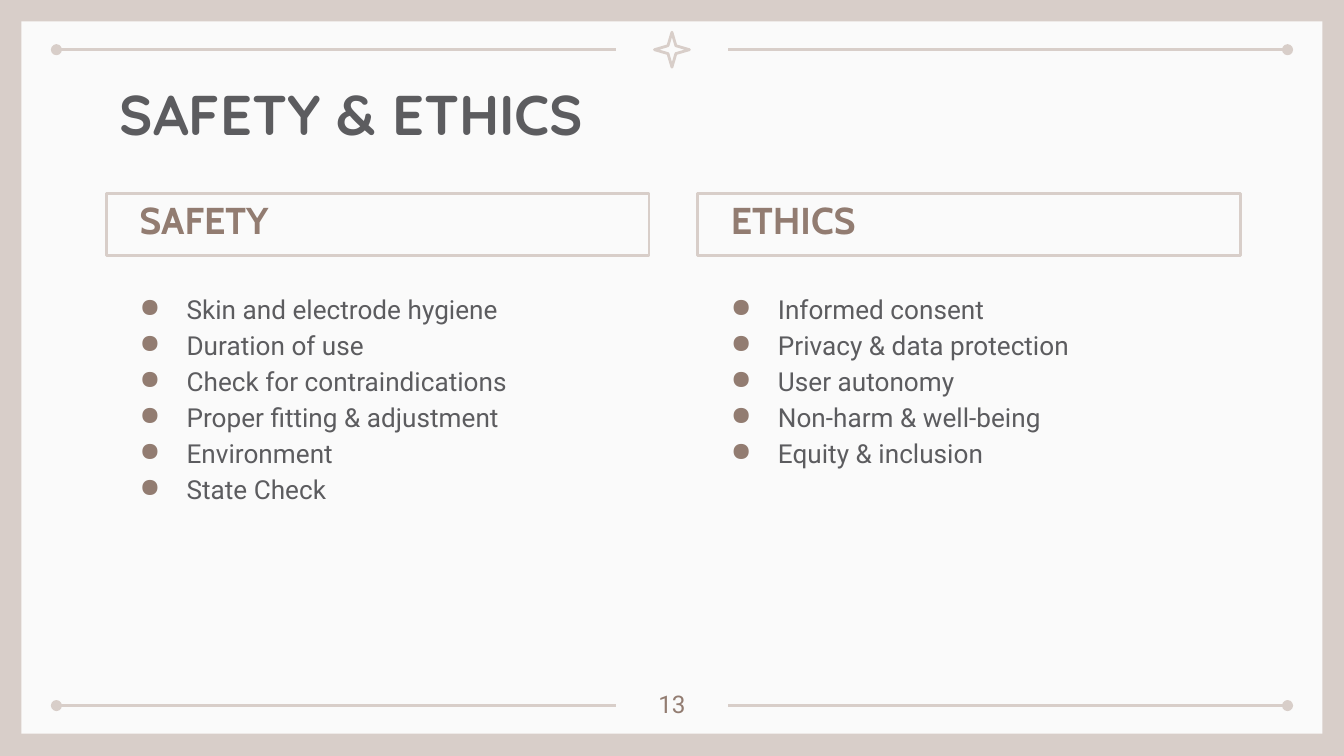
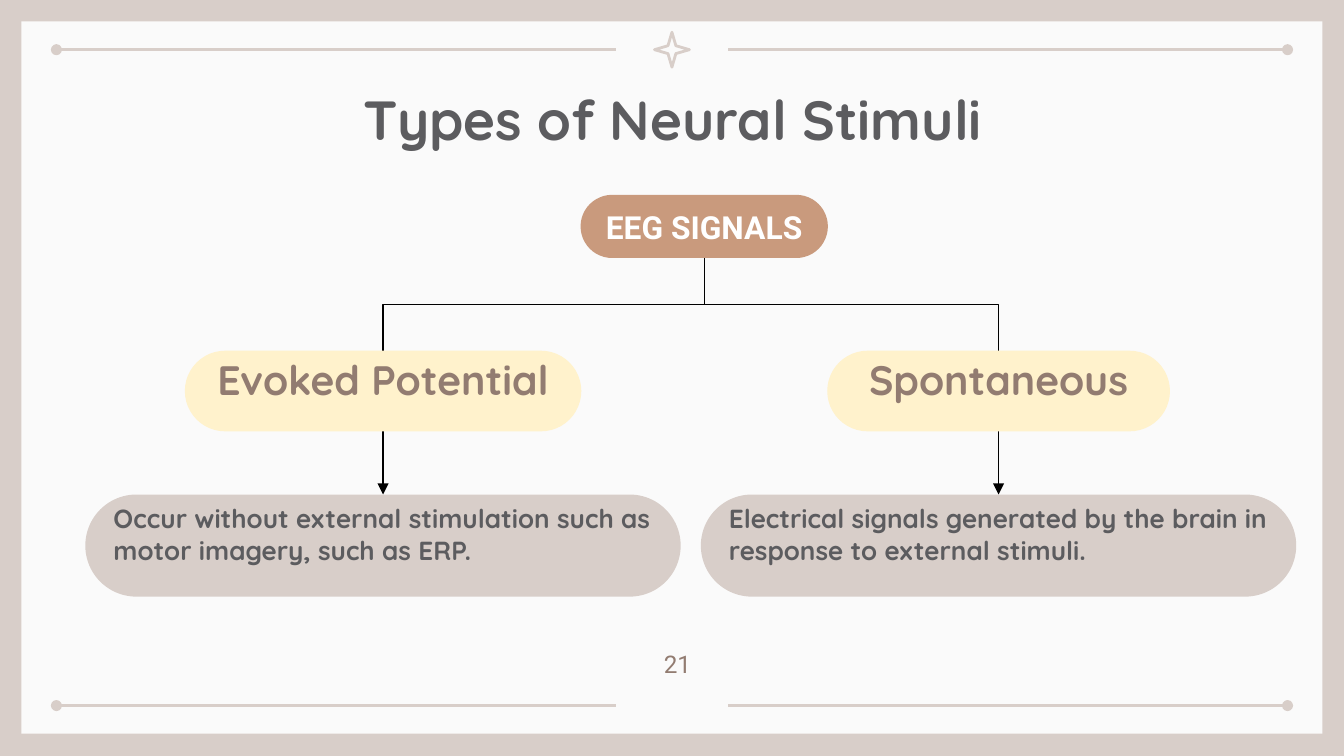
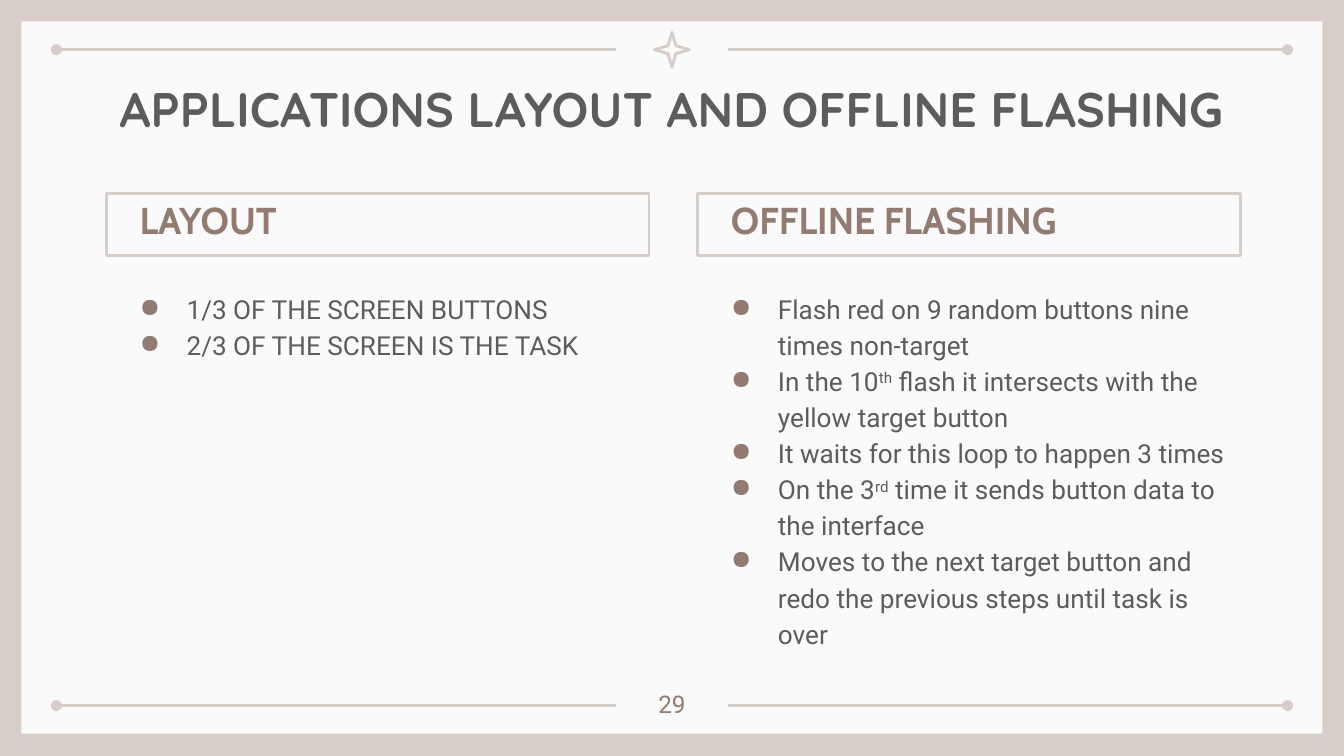
from dataclasses import dataclass
from lxml.etree import SubElement
from pptx import Presentation
from pptx.dml.color import RGBColor
from pptx.enum.shapes import MSO_CONNECTOR, MSO_SHAPE
from pptx.enum.text import MSO_ANCHOR, MSO_AUTO_SIZE, PP_ALIGN
from pptx.oxml.ns import qn
from pptx.util import Inches, Pt


@dataclass(frozen=True)
class Theme:
    sand = RGBColor.from_string("D8CEC9")
    paper = RGBColor.from_string("FAFAFA")
    ink = RGBColor.from_string("5C5C5F")
    brown = RGBColor.from_string("927C71")
    clay = RGBColor.from_string("C99A7D")
    cream = RGBColor.from_string("FFF2CC")
    white = RGBColor.from_string("FFFFFF")
    black = RGBColor.from_string("000000")
    title = ({"name": "Quicksand", "size": Pt(30), "bold": True}, ink)
    head = ({"name": "Cabin", "size": Pt(20), "bold": True}, brown)
    body = ({"name": "Roboto", "size": Pt(14), "bold": False}, ink)
    number = ({"name": "Roboto", "size": Pt(13), "bold": False}, brown)
    root = ({"name": "Roboto", "size": Pt(17), "bold": True}, white)
    kind = ({"name": "Quicksand", "size": Pt(22), "bold": True}, brown)
    note = ({"name": "Quicksand", "size": Pt(14), "bold": True}, ink)


theme = Theme()


def write(shape, lines, style, align=PP_ALIGN.LEFT, anchor=MSO_ANCHOR.TOP,
          space=1.0, hang=False, bullet=False, top=0.1, foot=0.1):
    frame = shape.text_frame
    form = {"word_wrap": True, "auto_size": MSO_AUTO_SIZE.NONE, "vertical_anchor": anchor,
            "margin_left": Inches(0.1), "margin_right": Inches(0.1),
            "margin_top": Inches(top), "margin_bottom": Inches(foot)}
    for key, value in form.items():
        setattr(frame, key, value)
    face, color = style
    for row, line in enumerate(lines):
        para = frame.add_paragraph() if row else frame.paragraphs[0]
        para.alignment = align
        para.line_spacing = space
        props = para._p.get_or_add_pPr()
        if hang:
            props.set("marL", str(Inches(0.5)))
            props.set("indent", str(-Inches(0.35)))
        if bullet:
            tint = SubElement(props, qn("a:buClr"))
            SubElement(tint, qn("a:srgbClr")).set("val", str(theme.brown))
            SubElement(props, qn("a:buChar")).set("char", "●")
        for part, text in enumerate(line.split("^")):
            run = para.add_run()
            run.text = text
            for key, value in face.items():
                setattr(run.font, key, value)
            run.font.color.rgb = color
            if part % 2:
                run._r.get_or_add_rPr().set("baseline", "30000")


def draw(slide, kind, box, fill=None, line=None, width=1.5, ends=None, bend=False):
    spots = [Inches(n) for n in box]
    joint = isinstance(kind, MSO_CONNECTOR)
    if joint:
        shape = slide.shapes.add_connector(kind, *spots)
        props = shape.element.spPr
        if bend:
            props.xfrm.set("rot", str(270 * 60000))
    else:
        shape = slide.shapes.add_shape(kind, *spots)
        shape.shadow.inherit = False
        if fill is None:
            shape.fill.background()
        else:
            shape.fill.solid()
            shape.fill.fore_color.rgb = fill
    if line is None:
        shape.line.fill.background()
    else:
        shape.line.color.rgb = line
        shape.line.width = Pt(width)
    if joint:
        if ends:
            SubElement(props.find(qn("a:ln")), qn("a:" + ends[0])).set("type", ends[1])
        SubElement(props, qn("a:effectLst"))
    return shape


deck = Presentation()
deck.slide_width = Inches(10)
deck.slide_height = Inches(5.625)
back = deck.slide_master.background.fill
back.solid()
back.fore_color.rgb = theme.sand
layout = deck.slide_layouts[5]
for holder in list(layout.placeholders)[1:]:
    holder.element.getparent().remove(holder.element)

titles = [
    ("SAFETY & ETHICS", 30, PP_ALIGN.LEFT, 1.0),
    ("Types of Neural Stimuli", 29.5, PP_ALIGN.CENTER, 1.1),
    ("APPLICATIONS LAYOUT AND OFFLINE FLASHING", 26, PP_ALIGN.LEFT, 1.0),
]
numbers = [
    ("13", (4.7, 5.03, 0.6, 0.36)),
    ("21", (4.73, 4.73, 0.62, 0.44)),
    ("29", (4.7, 5.03, 0.6, 0.36)),
]
slides = [deck.slides.add_slide(layout) for _ in titles]

first = slides[0]
star = draw(first, MSO_SHAPE.STAR_4_POINT, (4.87, 0.24, 0.26, 0.26), line=theme.sand)
star.adjustments[0] = 0.16
bands = [draw(first, MSO_SHAPE.RECTANGLE, (0.16, 0.16, 9.68, 5.3), theme.paper), star]
for y in (0.37, 5.25):
    for x, end in ((0.42, "headEnd"), (5.42, "tailEnd")):
        bands.append(draw(first, MSO_CONNECTOR.STRAIGHT, (x, y, x + 4.16, y),
                          line=theme.sand, ends=(end, "oval")))
for band in bands:
    layout.shapes.element.append(band.element)

for slide, (text, size, align, space), (digits, box) in zip(slides, titles, numbers):
    title = slide.shapes.title
    place = {"left": 0.79, "top": 0.49, "width": 8.43, "height": 0.63}
    for key, value in place.items():
        setattr(title, key, Inches(value))
    face, color = theme.title
    write(title, [text], ({**face, "size": Pt(size)}, color), align, space=space)
    number = slide.shapes.add_textbox(*[Inches(n) for n in box])
    write(number, [digits], theme.number, PP_ALIGN.CENTER)

columns = [
    (slides[0], 0.79, "SAFETY", [
        "Skin and electrode hygiene",
        "Duration of use",
        "Check for contraindications",
        "Proper fitting & adjustment",
        "Environment",
        "State Check",
    ]),
    (slides[0], 5.19, "ETHICS", [
        "Informed consent",
        "Privacy & data protection",
        "User autonomy",
        "Non-harm & well-being",
        "Equity & inclusion",
    ]),
    (slides[2], 0.79, "LAYOUT", [
        "1/3 OF THE SCREEN BUTTONS",
        "2/3 OF THE SCREEN IS THE TASK",
    ]),
    (slides[2], 5.19, "OFFLINE FLASHING", [
        "Flash red on 9 random buttons nine times non-target",
        "In the 10^th^ flash it intersects with the yellow target button",
        "It waits for this loop to happen 3 times",
        "On the 3^rd^ time it sends button data to the interface",
        "Moves to the next target button and redo the previous steps until task is over",
    ]),
]
for slide, x, head, items in columns:
    label = draw(slide, MSO_SHAPE.RECTANGLE, (x, 1.44, 4.04, 0.46), line=theme.sand)
    write(label, [head], theme.head, anchor=MSO_ANCHOR.BOTTOM, hang=True)
    body = slide.shapes.add_textbox(Inches(x), Inches(2.05), Inches(4.04), Inches(2.99))
    write(body, items, theme.body, space=1.15, hang=True, bullet=True)

tree = slides[1]
hub, base, drop = 5.24, 1.92, 0.69
pills = [((hub - 0.92, 1.45, 1.84, 0.47), theme.clay, "EEG SIGNALS",
          theme.root, PP_ALIGN.CENTER, 0.1, 0.1)]
branches = [
    (2.85, 2.95, "Evoked Potential",
     "Occur without external stimulation such as motor imagery, such as ERP."),
    (7.43, 2.55, "Spontaneous",
     "Electrical signals generated by the brain in response to external stimuli."),
]
for x, width, kind, note in branches:
    pills.append(((x - width / 2, 2.61, width, 0.6), theme.cream, kind,
                  theme.kind, PP_ALIGN.CENTER, 0, 0.17))
    pills.append(((x - 2.215, 3.68, 4.43, 0.76), theme.sand, note,
                  theme.note, PP_ALIGN.LEFT, 0, 0.17))
    span = abs(x - hub)
    left = (x + hub - drop) / 2
    top = base + (drop - span) / 2
    sides = (left + drop, left) if x > hub else (left, left + drop)
    draw(tree, MSO_CONNECTOR.ELBOW, (sides[0], top, sides[1], top + span),
         line=theme.black, width=0.75, bend=True)
    draw(tree, MSO_CONNECTOR.STRAIGHT, (x, 3.21, x, 3.68),
         line=theme.black, width=0.75, ends=("tailEnd", "triangle"))
for box, fill, text, style, align, top, foot in pills:
    pill = draw(tree, MSO_SHAPE.ROUNDED_RECTANGLE, box, fill)
    pill.adjustments[0] = 0.5
    write(pill, [text], style, align, MSO_ANCHOR.MIDDLE, top=top, foot=foot)

deck.save("out.pptx")
